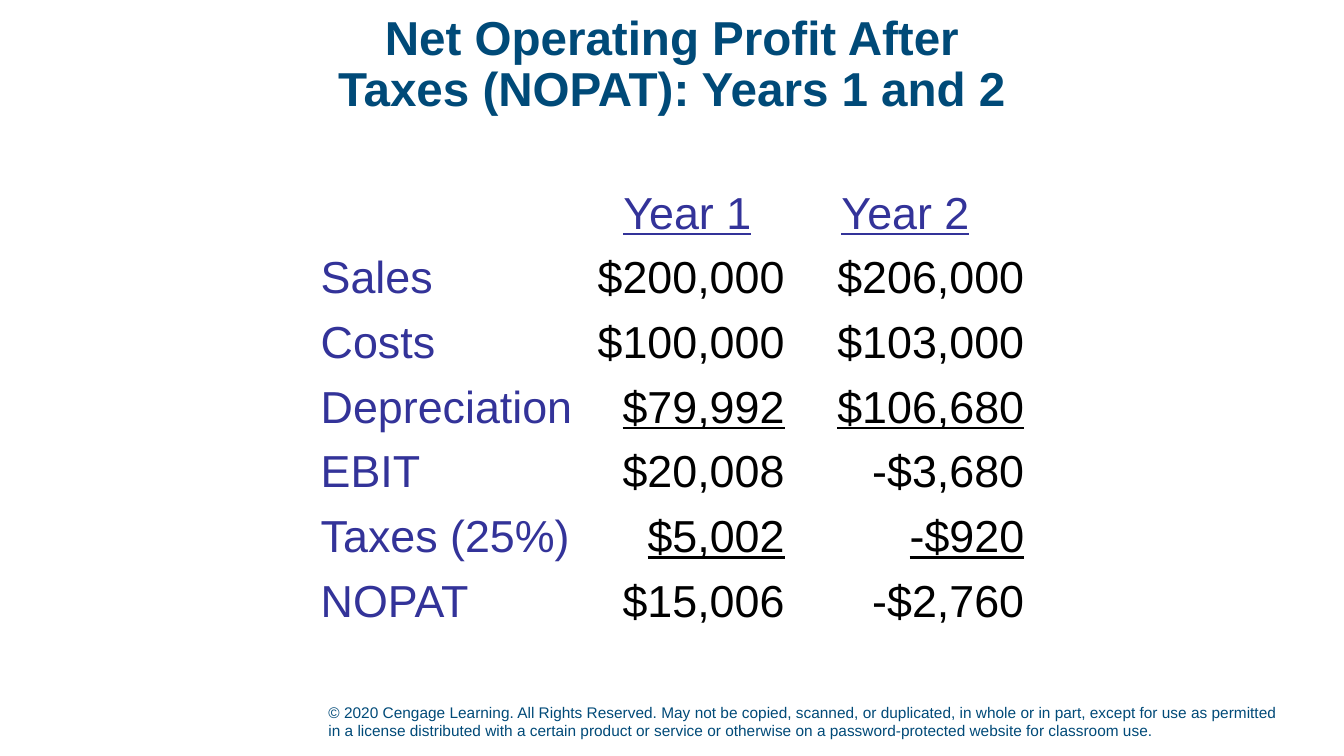
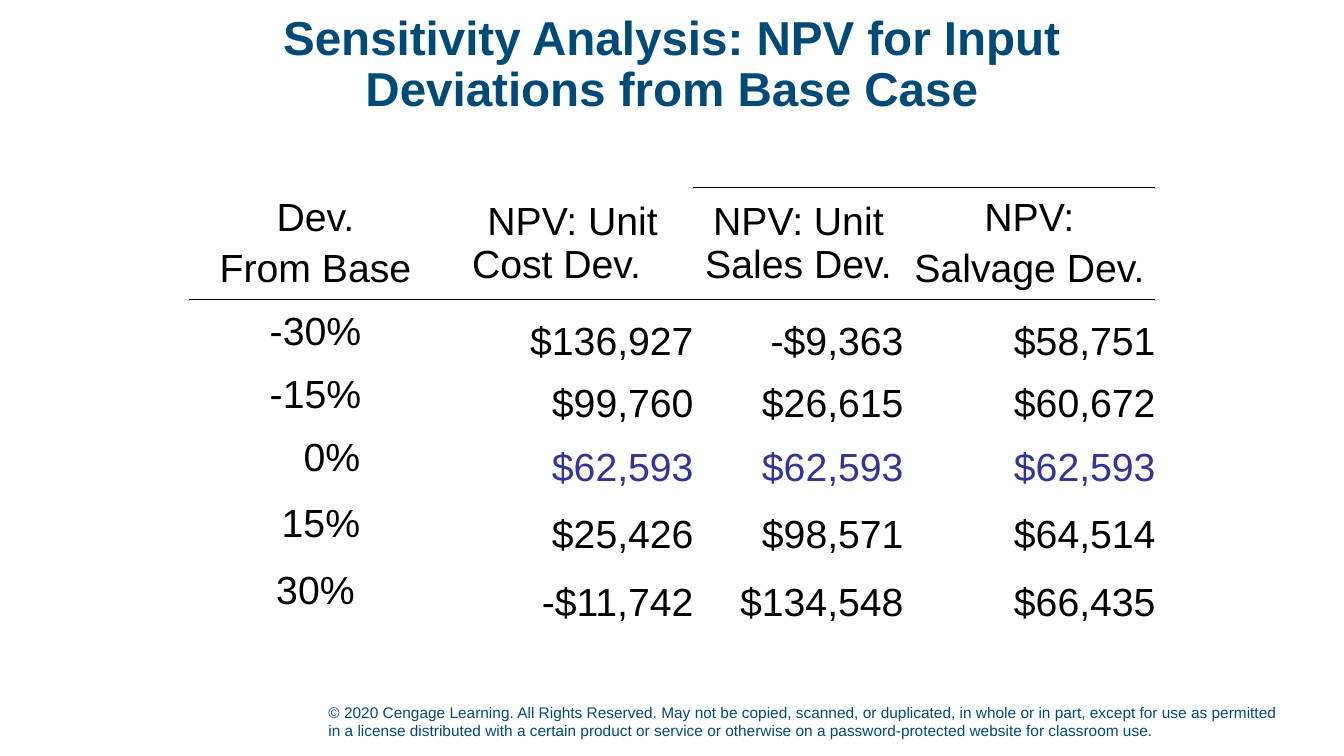
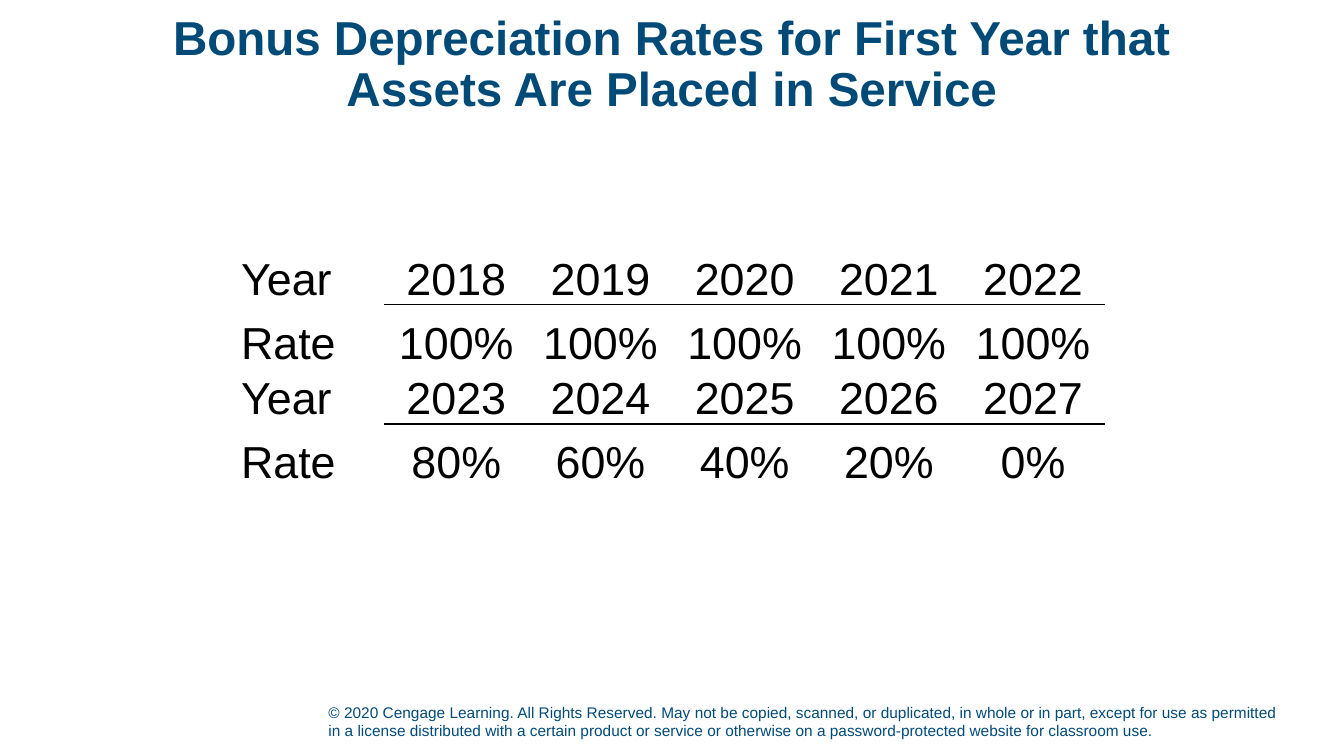
from pptx import Presentation
from pptx.dml.color import RGBColor
from pptx.enum.text import MSO_ANCHOR, PP_ALIGN
from pptx.oxml import parse_xml
from pptx.oxml.ns import nsdecls
from pptx.util import Pt

LEFT, CENTER, RIGHT = PP_ALIGN.LEFT, PP_ALIGN.CENTER, PP_ALIGN.RIGHT
MIDDLE, BOTTOM = MSO_ANCHOR.MIDDLE, MSO_ANCHOR.BOTTOM

NAVY = RGBColor(0x00, 0x4A, 0x78)
INDIGO = RGBColor(0x33, 0x33, 0x99)
BLACK = RGBColor(0x00, 0x00, 0x00)
FONT = "Arial"

# Content
FOOTER = ("© 2020 Cengage Learning. All Rights Reserved. May not be copied, scanned, "
          "or duplicated, in whole or in part, except for use as permitted in a license "
          "distributed with a certain product or service or otherwise on a "
          "password-protected website for classroom use.")

NOPAT_TITLE = "Net Operating Profit After\vTaxes (NOPAT): Years 1 and 2"
NOPAT_ROWS = [
    ("", "Year 1", "Year 2"),
    ("Sales", "$200,000", "$206,000"),
    ("Costs", "$100,000", "$103,000"),
    ("Depreciation", "$79,992", "$106,680"),
    ("EBIT", "$20,008", "-$3,680"),
    ("Taxes (25%)", "$5,002", "-$920"),
    ("NOPAT", "$15,006", "-$2,760"),
]
UNDERLINED_ROWS = (0, 3, 5)

NPV_TITLE = "Sensitivity Analysis: NPV for Input\vDeviations from Base Case"
NPV_ROWS = [
    ("Dev.\nFrom Base", "NPV: Unit Cost Dev.", "NPV: Unit Sales Dev.", "NPV:\nSalvage Dev."),
    ("-30%", "$136,927", "-$9,363", "$58,751"),
    ("-15%", "$99,760", "$26,615", "$60,672"),
    ("0%", "$62,593", "$62,593", "$62,593"),
    ("15%", "$25,426", "$98,571", "$64,514"),
    ("30%", "-$11,742", "$134,548", "$66,435"),
]
BASE_ROW = 3
DEVIATION_SHIFT = {3: 23.4, 4: 7.8}  # extra left margin by row

RATES_TITLE = "Bonus Depreciation Rates for First Year that Assets Are Placed in Service"
RATES_ROWS = [
    ("Year", "2018", "2019", "2020", "2021", "2022"),
    ("Rate", "100%", "100%", "100%", "100%", "100%"),
    ("Year", "2023", "2024", "2025", "2026", "2027"),
    ("Rate", "80%", "60%", "40%", "20%", "0%"),
]

TIGHT = (0.7, 0.7, 0.7, 0)  # cell margins: left, top, right, bottom
ROOMY = (7.2, 3.6, 7.2, 3.6)
NONE = (0, 0, 0, 0)


def write(p, text, align=LEFT, **font):
    p.text = text
    p.alignment = align
    for r in p.runs:
        r.font.color.rgb = font.get("color", BLACK)
        for name, value in {"name": FONT, **font}.items():
            if name != "color":
                setattr(r.font, name, value)


def add_text(s, box, text, anchor, **fmt):
    tf = s.shapes.add_textbox(*map(Pt, box)).text_frame
    tf.word_wrap = True
    tf.vertical_anchor = anchor
    write(tf.paragraphs[0], text, **fmt)
    return tf.paragraphs[0]


def add_slide(prs, title):
    """Add a slide with the shared title and footer."""
    s = prs.slides.add_slide(prs.slide_layouts[6])
    add_text(s, (227.5, 496, 693.5, 36), FOOTER, BOTTOM, size=Pt(11), color=NAVY)
    p = add_text(s, (66, 10.8, 828, 72), title, MIDDLE, align=CENTER,
                 size=Pt(34), bold=True, color=NAVY)
    p.line_spacing = 0.9
    return s


def set_borders(cell, ruled):
    """Rule the named sides in black and clear the others."""
    tcPr = cell._tc.get_or_add_tcPr()
    for side in "LRTB":
        fill = (f'<a:solidFill><a:srgbClr val="{BLACK}"/></a:solidFill>'
                if side in ruled else "<a:noFill/>")
        tcPr.append(parse_xml(f'<a:ln{side} {nsdecls("a")} w="{Pt(1)}">{fill}</a:ln{side}>'))


def add_grid(s, rows, origin, widths, heights, size, style, rules=()):
    """style(r, c) gives a cell's format; rules maps a row edge to its first ruled column."""
    table = s.shapes.add_table(len(rows), len(widths), *map(Pt, origin),
                               Pt(sum(widths)), Pt(sum(heights))).table
    table.first_row = table.horz_banding = False
    for column, width in zip(table.columns, widths):
        column.width = Pt(width)
    for row, height in zip(table.rows, heights):
        row.height = Pt(height)
    for r, texts in enumerate(rows):
        for c, text in enumerate(texts):
            cell, fmt = table.cell(r, c), style(r, c)
            ruled = [side for side, edge in (("T", r), ("B", r + 1))
                     if edge in rules and c >= rules[edge]]
            set_borders(cell, ruled)
            cell.fill.background()
            cell.vertical_anchor = fmt.pop("anchor", BOTTOM)
            margins = fmt.pop("margins", TIGHT)
            for side, margin in zip(("left", "top", "right", "bottom"), margins):
                setattr(cell, f"margin_{side}", Pt(margin))
            tf = cell.text_frame
            for i, line in enumerate(text.split("\n")):
                p = tf.add_paragraph() if i else tf.paragraphs[0]
                write(p, line, size=Pt(size), **fmt)
                if i:
                    p.space_before = Pt(size * 0.2)
    return table


def nopat_style(r, c):
    return {"align": LEFT if c == 0 else CENTER if r == 0 else RIGHT,
            "color": INDIGO if r == 0 or c == 0 else BLACK,
            "underline": c > 0 and r in UNDERLINED_ROWS}


def npv_style(r, c):
    if r and c:
        return {"align": RIGHT, "margins": NONE,
                "color": INDIGO if r == BASE_ROW else BLACK}
    left, top, right, bottom = ROOMY
    if c == 0:
        left += DEVIATION_SHIFT.get(r, 0)
    elif c == 1:
        right += 15.6
    return {"align": CENTER, "anchor": MIDDLE, "margins": (left, top, right, bottom)}


def rates_style(r, c):
    return {"align": CENTER if c else LEFT}


def main():
    prs = Presentation()
    prs.slide_width, prs.slide_height = Pt(960), Pt(540)

    # Operating profit by year
    s = add_slide(prs, NOPAT_TITLE)
    add_grid(s, NOPAT_ROWS, (228.4, 124.5), (192.4, 140.4, 171.2),
             [46.2] * len(NOPAT_ROWS), 32, nopat_style)

    # NPV sensitivity
    s = add_slide(prs, NPV_TITLE)
    table = add_grid(s, NPV_ROWS, (135.3, 133.8), (180, 180, 150, 180),
                     (75, 46, 44.6, 45.4, 48.2, 48.2), 28, npv_style, {0: 2, 1: 0})
    # The unit cost heading steps its first line to the right
    p = table.cell(0, 1).text_frame.paragraphs[0]
    p._p.get_or_add_pPr().set("indent", str(Pt(23)))

    # Bonus depreciation rates
    s = add_slide(prs, RATES_TITLE)
    add_grid(s, RATES_ROWS, (171.5, 178.6), [103] * 6, (36.4, 46, 36.4, 46),
             32, rates_style, {1: 1, 3: 1})

    prs.save("out.pptx")


if __name__ == "__main__":
    main()
